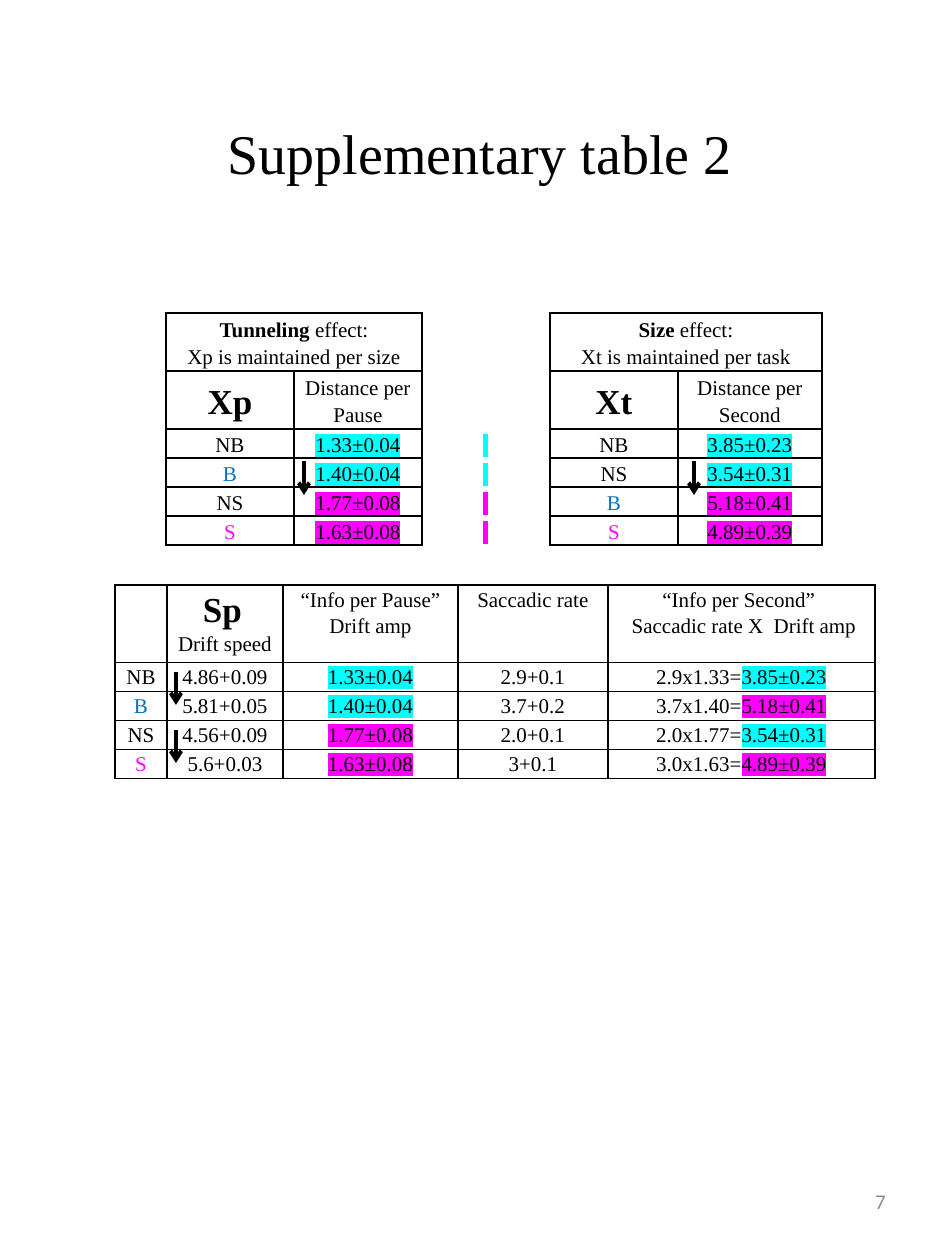
from collections import namedtuple

from lxml.etree import SubElement
from pptx import Presentation
from pptx.dml.color import RGBColor
from pptx.enum.shapes import MSO_CONNECTOR
from pptx.enum.text import MSO_ANCHOR as Anchor, PP_ALIGN as Align
from pptx.oxml import parse_xml
from pptx.oxml.ns import nsdecls, qn
from pptx.util import Pt

PX = 914400 / 126
SERIF = "Times New Roman"
BLACK = RGBColor(0x00, 0x00, 0x00)
GREY = RGBColor(0x8C, 0x8C, 0x8C)
BLUE = RGBColor(0x00, 0x70, 0xC0)
CYAN = RGBColor(0x00, 0xFF, 0xFF)
MAGENTA = RGBColor(0xFF, 0x00, 0xFF)

Run = namedtuple("Run", "text highlight bold size", defaults=(None, False, None))
LABEL_COLOURS = {"B": BLUE, "S": MAGENTA}
ROW = 27


def px(length):
    return round(length * PX)


def cyan(text):
    return Run(text, highlight=CYAN)


def magenta(text):
    return Run(text, highlight=MAGENTA)


def bold(text, size=None):
    return Run(text, bold=True, size=size)


def set_border(cell, sides):
    """Draw the given sides (letters of LRTB) and clear the others."""
    properties = cell._tc.get_or_add_tcPr()
    for index, side in enumerate("LRTB"):
        paint = (f'<a:solidFill><a:srgbClr val="{BLACK}"/></a:solidFill>'
                 if side in sides else "<a:noFill/>")
        line = parse_xml(f'<a:ln{side} {nsdecls("a")} w="12700">{paint}</a:ln{side}>')
        properties.insert(index, line)


def add_run(paragraph, part):
    run = paragraph.add_run()
    run.text = part.text
    if part.bold:
        run.font.bold = True
    if part.size:
        run.font.size = Pt(part.size)
    if part.highlight is not None:
        mark = SubElement(run._r.get_or_add_rPr(), qn("a:highlight"))
        SubElement(mark, qn("a:srgbClr")).set("val", str(part.highlight))


def fill_cell(cell, lines, anchor):
    """Write lines, each a string, a Run or a list of these, into a cell."""
    cell.fill.background()
    cell.vertical_anchor = anchor
    cell.margin_left = cell.margin_right = px(9)
    cell.margin_top = cell.margin_bottom = 0
    frame = cell.text_frame
    for index, line in enumerate(lines):
        paragraph = frame.add_paragraph() if index else frame.paragraphs[0]
        paragraph.alignment = Align.CENTER
        paragraph.line_spacing = 1.15
        font = paragraph.font
        font.name, font.size, font.bold = SERIF, Pt(12), False
        font.color.rgb = LABEL_COLOURS.get(line, BLACK) if isinstance(line, str) else BLACK
        parts = line if isinstance(line, list) else [line]
        for part in parts:
            add_run(paragraph, Run(part) if isinstance(part, str) else part)


def add_grid(slide, left, top, widths, heights, rows, anchor, gap_column=None):
    """Place a bordered table; the gap column has side borders only."""
    table = slide.shapes.add_table(len(heights), len(widths), px(left), px(top),
                                   px(sum(widths)), px(sum(heights))).table
    table.first_row = table.horz_banding = False
    for column, width in zip(table.columns, widths):
        column.width = px(width)
    for row, height in zip(table.rows, heights):
        row.height = px(height)
    for r, row in enumerate(rows):
        for c, lines in enumerate(row):
            cell = table.cell(r, c)
            fill_cell(cell, lines, anchor)
            set_border(cell, "LR" if c == gap_column else "LRTB")
    return table


def add_arrow(slide, x, top, height):
    arrow = slide.shapes.add_connector(MSO_CONNECTOR.STRAIGHT, px(x), px(top),
                                       px(x), px(top + height))
    arrow.line.color.rgb = BLACK
    arrow.line.width = Pt(2.25)
    SubElement(arrow.line._get_or_add_ln(), qn("a:tailEnd")).set("type", "arrow")
    SubElement(arrow._element.spPr, qn("a:effectLst"))


def add_text(slide, left, top, width, height, text, font_name, size, colour, align):
    frame = slide.shapes.add_textbox(px(left), px(top), px(width), px(height)).text_frame
    frame.word_wrap = True
    frame.vertical_anchor = Anchor.MIDDLE
    paragraph = frame.paragraphs[0]
    paragraph.text = text
    paragraph.alignment = align
    font = paragraph.font
    font.name, font.size, font.color.rgb = font_name, Pt(size), colour


def add_effects(slide, left, top):
    """Tunneling and size effects, side by side."""
    rows = [
        [[[bold("Tunneling"), " effect:"], "Xp is maintained per size"], [], [],
         [[bold("Size"), " effect:"], "Xt is maintained per task"], []],
        [[bold("Xp", 20)], ["Distance per Pause"], [],
         [bold("Xt", 20)], ["Distance per Second"]],
        [["NB"], [cyan("1.33±0.04")], [cyan(" ")], ["NB"], [cyan("3.85±0.23")]],
        [["B"], [cyan("1.40±0.04")], [cyan(" ")], ["NS"], [cyan("3.54±0.31")]],
        [["NS"], [magenta("1.77±0.08")], [magenta(" ")], ["B"], [magenta("5.18±0.41")]],
        [["S"], [magenta("1.63±0.08")], [magenta(" ")], ["S"], [magenta("4.89±0.39")]],
    ]
    table = add_grid(slide, left, top, [128] * 4 + [144], [2 * ROW] * 2 + [ROW] * 4,
                     rows, Anchor.MIDDLE, gap_column=2)
    for first in (0, 3):
        table.cell(0, first).merge(table.cell(0, first + 1))
    for x in (138, 528):
        add_arrow(slide, left + x, top + 148, 34)


def add_drift(slide, left, top):
    """Drift speed, amplitude and information rates."""
    rows = [
        [[], [[bold("Sp", 20), " "], "Drift speed"], ["“Info per Pause” Drift amp"],
         ["Saccadic rate"], ["“Info per Second” ", " Saccadic rate X  Drift amp"]],
        [["NB"], ["4.86+0.09"], [cyan("1.33±0.04")], ["2.9+0.1"],
         [["2.9x1.33=", cyan("3.85±0.23")]]],
        [["B"], ["5.81+0.05"], [cyan("1.40±0.04")], ["3.7+0.2"],
         [["3.7x1.40=", magenta("5.18±0.41")]]],
        [["NS"], ["4.56+0.09"], [magenta("1.77±0.08")], ["2.0+0.1"],
         [["2.0x1.77=", cyan("3.54±0.31")]]],
        [["S"], ["5.6+0.03"], [magenta("1.63±0.08")], ["3+0.1"],
         [["3.0x1.63=", magenta("4.89±0.39")]]],
    ]
    add_grid(slide, left, top, [52, 116, 175, 150, 267], [72] + [ROW] * 4,
             rows, Anchor.TOP)
    for y in (87, 145):
        add_arrow(slide, left + 61, top + y, 33)


def main():
    deck = Presentation()
    deck.slide_width, deck.slide_height = px(945), px(1260)
    slide = deck.slides.add_slide(deck.slide_layouts[6])
    add_text(slide, 678, 1168, 220, 67, "7", "Calibri", 12, GREY, Align.RIGHT)
    add_text(slide, 55, 47, 850, 210, "Supplementary table 2", SERIF, 32, BLACK, Align.CENTER)
    add_effects(slide, 166, 313)
    add_drift(slide, 115, 585)
    deck.save("out.pptx")


if __name__ == "__main__":
    main()
